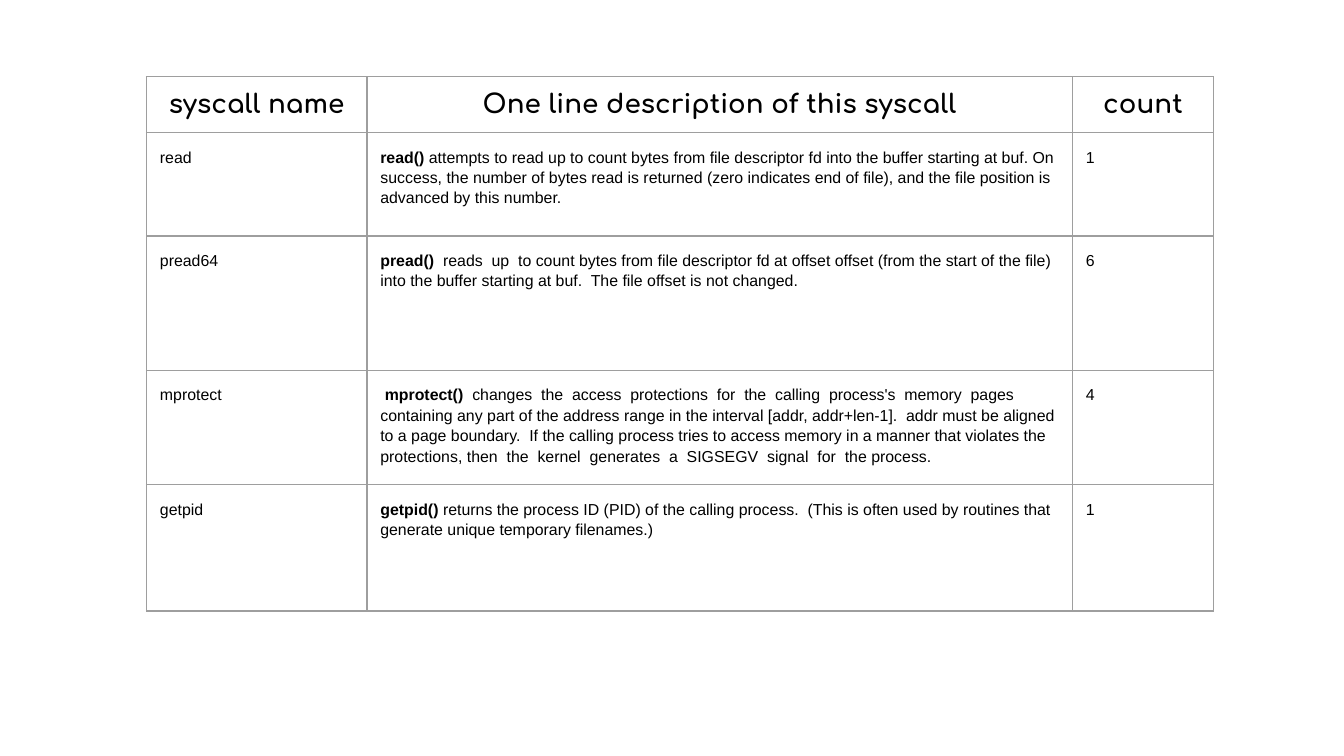
from dataclasses import dataclass

from lxml import etree
from pptx import Presentation
from pptx.dml.color import RGBColor
from pptx.enum.text import PP_ALIGN
from pptx.oxml.ns import qn
from pptx.util import Inches, Pt

CENTER, LEFT = PP_ALIGN.CENTER, PP_ALIGN.LEFT
BLANK_LAYOUT = 6


@dataclass(frozen=True)
class Theme:
    ink: str = "000000"
    border: str = "9E9E9E"
    border_pt: float = 0.75
    head_font: str = "Comfortaa"
    head_size: float = 14
    body_font: str = "Arial"
    body_size: float = 8.5
    body_spacing: float = 1.15
    inset: float = 0.1


THEME = Theme()
SLIDE_W = 10
SLIDE_H = SLIDE_W * 9 / 16
TABLE_LEFT, TABLE_TOP = 1.09, 0.57
COL_WIDTHS = [1.64, 5.25, 1.05]
ROW_HEIGHTS = [0.4, 0.77, 1, 0.85, 0.94]

HEADERS = ["syscall name", "One line description of this syscall", "count"]
# Each syscall: name, (text, bold) pieces of its description, count
SYSCALLS = [
    ("read", [
        ("read()", True),
        (" attempts to read up to count bytes from file descriptor fd into the "
         "buffer starting at buf. On  success, the number of bytes read is returned "
         "(zero indicates end of file), and the file position is advanced by this "
         "number.", False)], 1),
    ("pread64", [
        ("pread()", True),
        ("  reads  up  to count bytes from file descriptor fd at offset offset (from "
         "the start of the file) into the buffer starting at buf.  The file offset "
         "is not changed.", False)], 6),
    ("mprotect", [
        (" ", False),
        ("mprotect() ", True),
        (" changes  the  access  protections  for  the  calling  process's  memory  "
         "pages containing any part of the address range in the interval "
         "[addr, addr+len-1].  addr must be aligned to a page boundary.  If the "
         "calling process tries to access memory in a manner that violates the "
         "protections, then  the  kernel  generates  a  SIGSEGV  signal  for  the "
         "process.", False)], 4),
    ("getpid", [
        ("getpid() ", True),
        ("returns the process ID (PID) of the calling process.  (This is often used "
         "by routines that generate unique temporary filenames.)", False)], 1),
]


def add_text(p, text, *, font=THEME.body_font, size=THEME.body_size, bold=False,
             color=THEME.ink, align=LEFT, spacing=THEME.body_spacing):
    p.alignment = align
    p.line_spacing = spacing
    r = p.add_run()
    r.text = text
    r.font.name = font
    r.font.size = Pt(size)
    r.font.bold = bold
    r.font.color.rgb = RGBColor.from_string(color)


def set_borders(cell):
    """Draw all four cell edges; edges must precede the fill in tcPr."""
    tc_pr = cell._tc.get_or_add_tcPr()
    for i, side in enumerate(("lnL", "lnR", "lnT", "lnB")):
        ln = etree.Element(qn(f"a:{side}"), w=str(Pt(THEME.border_pt)))
        fill = etree.SubElement(ln, qn("a:solidFill"))
        etree.SubElement(fill, qn("a:srgbClr"), val=THEME.border)
        tc_pr.insert(i, ln)


def format_cell(cell):
    cell.fill.background()
    cell.margin_left = cell.margin_right = Inches(THEME.inset)
    cell.margin_top = cell.margin_bottom = Inches(THEME.inset)
    set_borders(cell)


def add_grid(s):
    frame = s.shapes.add_table(
        len(ROW_HEIGHTS), len(COL_WIDTHS), Inches(TABLE_LEFT), Inches(TABLE_TOP),
        Inches(sum(COL_WIDTHS)), Inches(sum(ROW_HEIGHTS)))
    table = frame.table
    table.horz_banding = False
    for column, width in zip(table.columns, COL_WIDTHS):
        column.width = Inches(width)
    for row, height in zip(table.rows, ROW_HEIGHTS):
        row.height = Inches(height)
    for cell in table.iter_cells():
        format_cell(cell)
    return table


def fill_header(table):
    for cell, text in zip(table.rows[0].cells, HEADERS):
        add_text(cell.text_frame.paragraphs[0], text, font=THEME.head_font,
                 size=THEME.head_size, bold=True, align=CENTER, spacing=1.0)


def fill_syscalls(table):
    for i, (name, description, count) in enumerate(SYSCALLS, start=1):
        contents = [[(name, False)], description, [(str(count), False)]]
        for cell, pieces in zip(table.rows[i].cells, contents):
            for text, bold in pieces:
                add_text(cell.text_frame.paragraphs[0], text, bold=bold)


def main():
    prs = Presentation()
    prs.slide_width, prs.slide_height = Inches(SLIDE_W), Inches(SLIDE_H)
    s = prs.slides.add_slide(prs.slide_layouts[BLANK_LAYOUT])
    table = add_grid(s)
    fill_header(table)
    fill_syscalls(table)
    prs.save("out.pptx")


if __name__ == "__main__":
    main()
